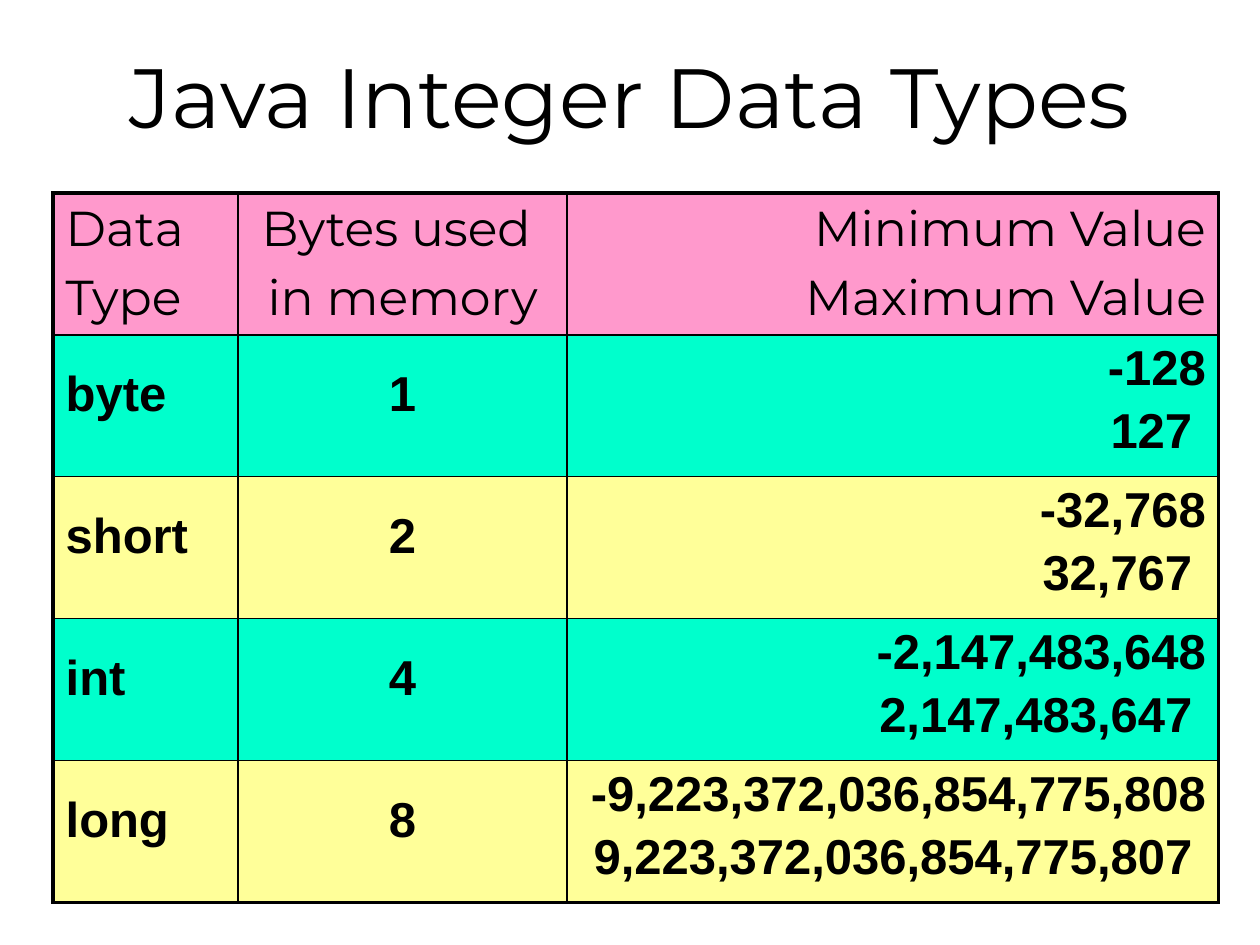
from dataclasses import dataclass

from lxml.etree import SubElement
from pptx import Presentation
from pptx.dml.color import RGBColor
from pptx.enum.text import MSO_ANCHOR, PP_ALIGN
from pptx.oxml.ns import qn
from pptx.util import Cm, Pt


@dataclass(frozen=True)
class Theme:
    ink: str = "000000"
    header: str = "FF99CC"
    bands: tuple = ("00FFCC", "FFFF99")
    heading_font: str = "Montserrat"
    body_font: str = "Arial"
    title_size: int = 48
    table_size: int = 28
    para_gap: int = 5
    thin: float = 1
    thick: float = 2.25


THEME = Theme()
HEADER = (("Data", "Type"), ("Bytes used ", "in memory"),
          ("Minimum Value", "Maximum Value"))
TYPES = (
    ("byte", "1", "-128", " 127 "),
    ("short", "2", "-32,768", " 32,767 "),
    ("int", "4", "-2,147,483,648", " 2,147,483,647 "),
    ("long", "8", "-9,223,372,036,854,775,808", " 9,223,372,036,854,775,807 "),
)
ALIGNMENTS = (PP_ALIGN.LEFT, PP_ALIGN.CENTER, PP_ALIGN.RIGHT)
COL_WIDTHS = (3.73, 6.63, 13.13)
ROW_HEIGHT = 2.86
LABEL_TOP = 0.65


def format_paragraph(p, font, size, align, bold=False):
    p.alignment = align
    for r in p.runs:
        r.font.name = font
        r.font.size = Pt(size)
        r.font.bold = bold
        r.font.color.rgb = RGBColor.from_string(THEME.ink)


def add_title(s, text):
    title = s.shapes.title
    title.left, title.top, title.width, title.height = Cm(0), Cm(0), Cm(25.4), Cm(3.81)
    tf = title.text_frame
    tf.text = text
    tf.vertical_anchor = MSO_ANCHOR.MIDDLE
    format_paragraph(tf.paragraphs[0], THEME.heading_font, THEME.title_size,
                     PP_ALIGN.CENTER)


def set_borders(cell, outer_sides):
    tc_pr = cell._tc.get_or_add_tcPr()
    for side in "LRTB":
        width = THEME.thick if side in outer_sides else THEME.thin
        ln = SubElement(tc_pr, qn(f"a:ln{side}"), w=str(Pt(width)))
        fill = SubElement(ln, qn("a:solidFill"))
        SubElement(fill, qn("a:srgbClr"), val=THEME.ink)


def fill_cell(cell, lines, align, color, font, bold):
    tf = cell.text_frame
    tf.text = "\n".join(lines)
    for p in tf.paragraphs:
        format_paragraph(p, font, THEME.table_size, align, bold)
    for p in tf.paragraphs[1:]:
        p.space_before = Pt(THEME.para_gap)
    cell.fill.solid()
    cell.fill.fore_color.rgb = RGBColor.from_string(color)


def add_type_table(s):
    rows = [HEADER] + [((name,), (size,), limits) for name, size, *limits in TYPES]
    n_rows, n_cols = len(rows), len(COL_WIDTHS)
    table = s.shapes.add_table(n_rows, n_cols, Cm(1.07), Cm(3.89),
                               Cm(sum(COL_WIDTHS)), Cm(ROW_HEIGHT * n_rows)).table
    for col, width in zip(table.columns, COL_WIDTHS):
        col.width = Cm(width)
    for i, row in enumerate(rows):
        table.rows[i].height = Cm(ROW_HEIGHT)
        is_header = i == 0
        color = THEME.header if is_header else THEME.bands[(i - 1) % 2]
        font = THEME.heading_font if is_header else THEME.body_font
        for j, lines in enumerate(row):
            cell = table.cell(i, j)
            edges = {"L": j == 0, "R": j == n_cols - 1,
                     "T": i == 0, "B": i == n_rows - 1}
            set_borders(cell, [side for side, outer in edges.items() if outer])
            fill_cell(cell, lines, ALIGNMENTS[j], color, font, not is_header)
            if len(lines) == 1:
                cell.margin_top = Cm(LABEL_TOP)


def main():
    prs = Presentation()
    prs.slide_width, prs.slide_height = Cm(25.4), Cm(19.05)
    s = prs.slides.add_slide(prs.slide_layouts[5])
    add_title(s, "Java Integer Data Types")
    add_type_table(s)
    prs.save("out.pptx")


if __name__ == "__main__":
    main()
